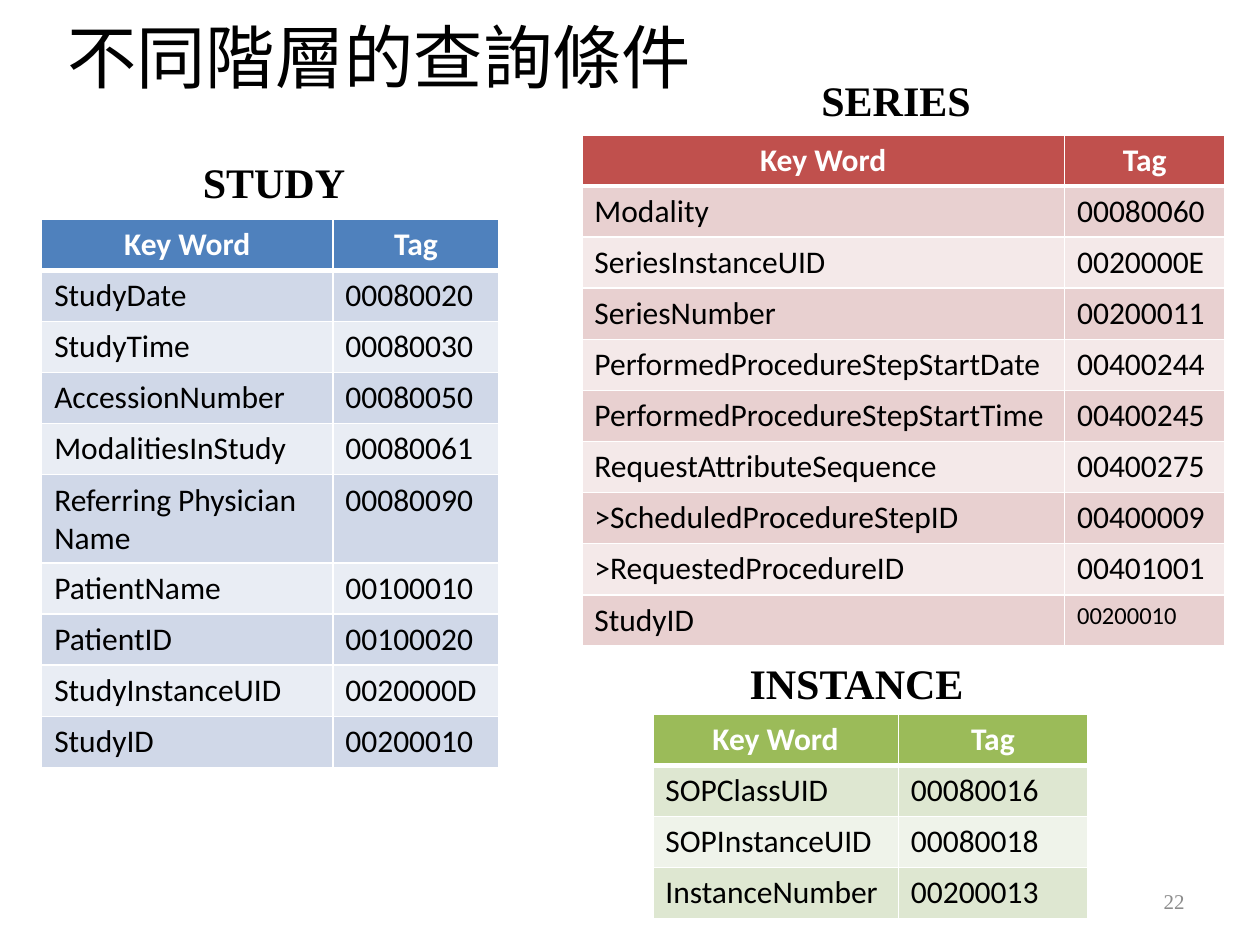
from lxml import etree
from pptx import Presentation
from pptx.dml.color import RGBColor
from pptx.enum.text import MSO_ANCHOR, PP_ALIGN
from pptx.oxml.ns import qn
from pptx.util import Cm, Pt

LEFT, CENTER, RIGHT = PP_ALIGN.LEFT, PP_ALIGN.CENTER, PP_ALIGN.RIGHT
MIDDLE, BOTTOM = MSO_ANCHOR.MIDDLE, MSO_ANCHOR.BOTTOM
SERIF, SANS = "Times New Roman", "Calibri"
ROW = 1.03

COLORS = {
    "black": "000000", "white": "FFFFFF", "gray": "8C8C8C",
    "blue": "4F81BD", "blue odd": "D0D8E8", "blue even": "E9EDF4",
    "red": "C0504D", "red odd": "E8D0D0", "red even": "F4E9E9",
    "green": "9BBB59", "green odd": "DEE7D1", "green even": "EFF3EA",
}

STUDY = [
    ("StudyDate", "00080020"),
    ("StudyTime", "00080030"),
    ("AccessionNumber", "00080050"),
    ("ModalitiesInStudy", "00080061"),
    ("Referring Physician Name", "00080090"),
    ("PatientName", "00100010"),
    ("PatientID", "00100020"),
    ("StudyInstanceUID", "0020000D"),
    ("StudyID", "00200010"),
]
SERIES = [
    ("Modality", "00080060"),
    ("SeriesInstanceUID", "0020000E"),
    ("SeriesNumber", "00200011"),
    ("PerformedProcedureStepStartDate", "00400244"),
    ("PerformedProcedureStepStartTime", "00400245"),
    ("RequestAttributeSequence", "00400275"),
    (">ScheduledProcedureStepID", "00400009"),
    (">RequestedProcedureID", "00401001"),
    ("StudyID", "00200010"),
]
INSTANCE = [
    ("SOPClassUID", "00080016"),
    ("SOPInstanceUID", "00080018"),
    ("InstanceNumber", "00200013"),
]


def color(name):
    return RGBColor.from_string(COLORS[name])


def write(frame, text, size, font=SERIF, ink="black", bold=False, align=LEFT):
    frame.text = text
    par = frame.paragraphs[0]
    par.alignment = align
    face = par.runs[0].font
    face.size, face.name, face.bold = Pt(size), font, bold
    face.color.rgb = color(ink)


def add_title(slide, box, text):
    title = slide.shapes.title
    title.left, title.top, title.width, title.height = map(Cm, box)
    title.text_frame.vertical_anchor = MIDDLE
    write(title.text_frame, text, 39.6, align=CENTER)


def add_label(slide, box, text, size, anchor, **style):
    frame = slide.shapes.add_textbox(*map(Cm, box)).text_frame
    frame.word_wrap = True
    frame.vertical_anchor = anchor
    write(frame, text, size, **style)


def add_edges(cell, top, bottom):
    props = cell._tc.get_or_add_tcPr()
    for side, width in (("L", 1), ("R", 1), ("T", top), ("B", bottom)):
        line = etree.SubElement(props, qn(f"a:ln{side}"), w=str(Pt(width)))
        fill = etree.SubElement(line, qn("a:solidFill"))
        etree.SubElement(fill, qn("a:srgbClr"), val=COLORS["white"])


def add_level(slide, name, head, spot, widths, hue, data):
    """Place a bold heading and its table of query keys."""
    add_label(slide, head, name, 24, BOTTOM, bold=True)
    rows = [("Key Word", "Tag")] + data
    size = (sum(widths), ROW * len(rows))
    table = slide.shapes.add_table(len(rows), 2, *map(Cm, spot + size)).table
    for col, width in zip(table.columns, widths):
        col.width = Cm(width)
    for r, row in enumerate(rows):
        table.rows[r].height = Cm(ROW)
        for c, text in enumerate(row):
            cell = table.cell(r, c)
            # Thick rule below the header row
            add_edges(cell, 3 if r == 1 else 1, 3 if r == 0 else 1)
            cell.fill.solid()
            if r == 0:
                cell.fill.fore_color.rgb = color(hue)
                write(cell.text_frame, text, 18, SANS, "white", True, CENTER)
            else:
                band = "odd" if r % 2 else "even"
                cell.fill.fore_color.rgb = color(f"{hue} {band}")
                write(cell.text_frame, text, 18, SANS)
    return table


def main():
    deck = Presentation()
    deck.slide_width, deck.slide_height = Cm(25.4), Cm(19.05)
    slide = deck.slides.add_slide(deck.slide_layouts[5])

    add_title(slide, (0.51, 0.33, 14.27, 1.57), "不同階層的查詢條件")

    # Three query levels
    add_level(slide, "STUDY", (3.84, 3, 7.59, 1.3), (0.84, 4.42),
              (5.87, 3.35), "blue", STUDY)
    series = add_level(slide, "SERIES", (16.31, 1.35, 7.59, 1.3),
                       (11.73, 2.72), (9.73, 3.23), "red", SERIES)
    add_level(slide, "INSTANCE", (14.86, 12.62, 7.59, 1.78), (13.16, 14.4),
              (4.95, 3.81), "green", INSTANCE)

    # The last series tag is smaller
    last = series.cell(len(SERIES), 1).text_frame
    last.paragraphs[0].runs[0].font.size = Pt(14)

    # Page number
    add_label(slide, (18.21, 17.65, 5.92, 1.02), "22", 12, MIDDLE,
              ink="gray", align=RIGHT)

    deck.save("out.pptx")


if __name__ == "__main__":
    main()
